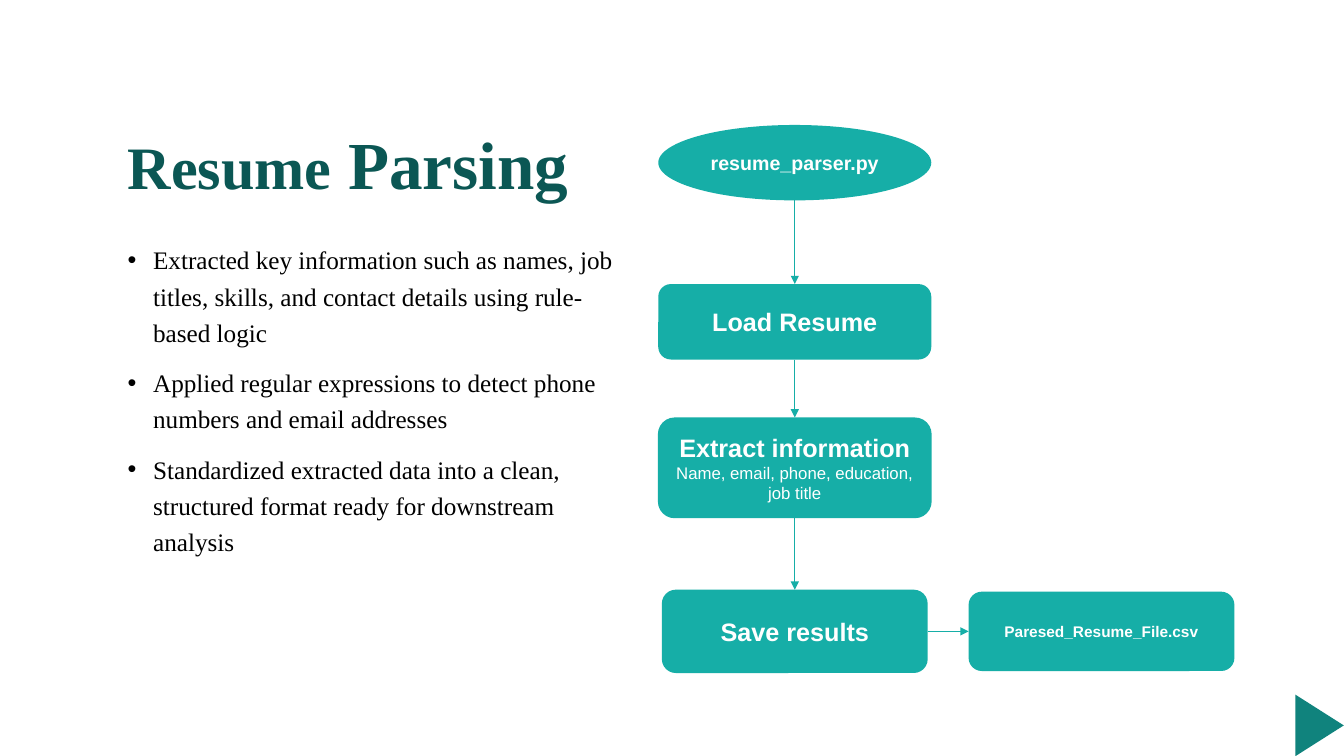
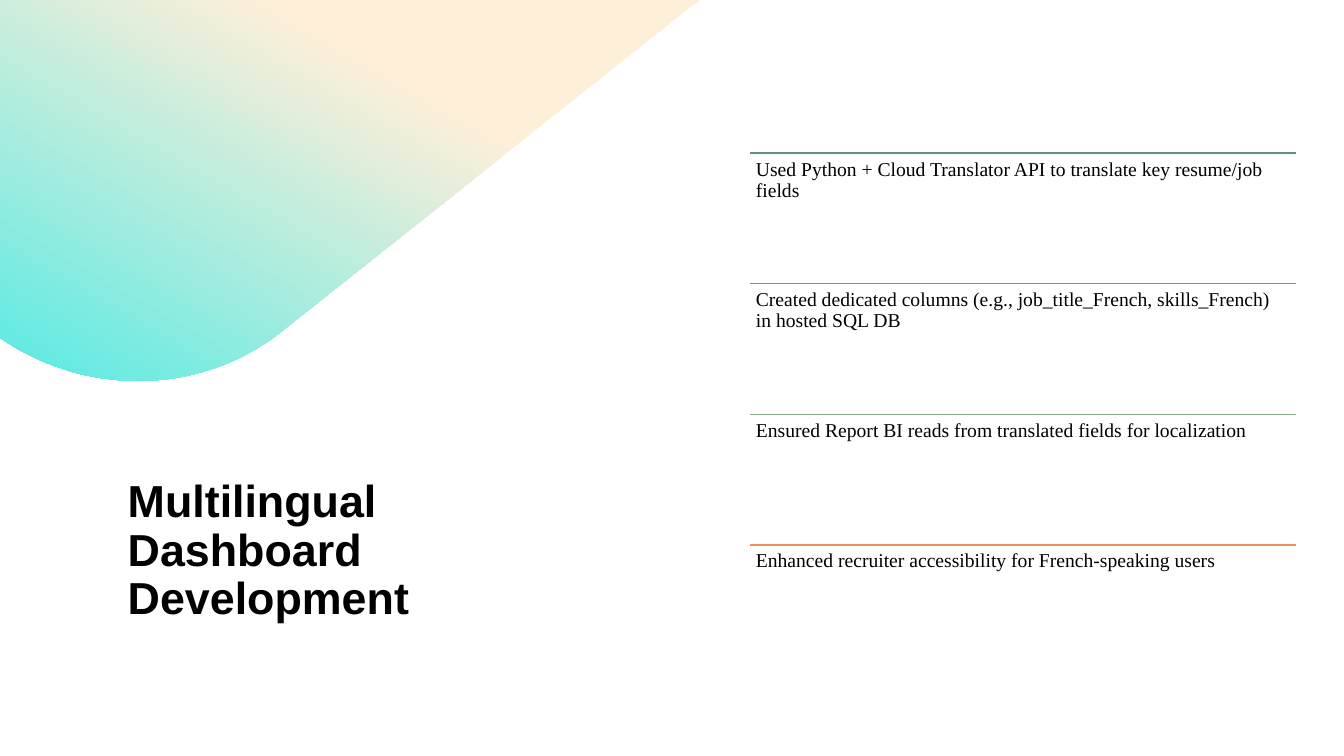
"""Build two slides: a resume parsing flow and a multilingual dashboard summary."""
from lxml import etree
from pptx import Presentation
from pptx.dml.color import RGBColor
from pptx.enum.shapes import MSO_CONNECTOR, MSO_SHAPE
from pptx.enum.text import MSO_ANCHOR, PP_ALIGN
from pptx.oxml.ns import qn
from pptx.util import Cm, Pt

STRAIGHT = MSO_CONNECTOR.STRAIGHT
OVAL, ROUNDED, TRIANGLE = MSO_SHAPE.OVAL, MSO_SHAPE.ROUNDED_RECTANGLE, MSO_SHAPE.ISOSCELES_TRIANGLE
TOP, MIDDLE, BOTTOM = MSO_ANCHOR.TOP, MSO_ANCHOR.MIDDLE, MSO_ANCHOR.BOTTOM
LEFT, CENTER = PP_ALIGN.LEFT, PP_ALIGN.CENTER

BLACK = RGBColor(0x00, 0x00, 0x00)
WHITE = RGBColor(0xFF, 0xFF, 0xFF)
TEAL = RGBColor(0x16, 0xAE, 0xA7)
DARK_TEAL = RGBColor(0x0B, 0x57, 0x54)
CORNER_TEAL = RGBColor(0x10, 0x83, 0x7D)
PEACH = RGBColor(0xFE, 0xEF, 0xD9)
CYAN = RGBColor(0x58, 0xEA, 0xE3)
SLATE = RGBColor(0x61, 0x8F, 0x88)
OLIVE = RGBColor(0x7A, 0x99, 0x73)
SAGE = RGBColor(0x8A, 0xAE, 0x8E)
ORANGE = RGBColor(0xEB, 0x8F, 0x60)
SERIF, SANS = "Times New Roman", "Arial"
MARGIN = 2.97


def write_text(box, paragraphs, font, color, anchor=TOP, align=LEFT, spacing=1.0, gap=0, bullet=None):
    """Fill a box with paragraphs, each a list of (text, size, bold) runs."""
    frame = box.text_frame
    frame.word_wrap = True
    frame.vertical_anchor = anchor
    for number, spans in enumerate(paragraphs):
        para = frame.add_paragraph() if number else frame.paragraphs[0]
        para.alignment = align
        para.line_spacing = spacing
        para.space_before = Pt(gap if number else 0)
        if bullet:
            properties = para._p.get_or_add_pPr()
            properties.set("marL", str(Cm(0.64)))
            properties.set("indent", str(-Cm(0.64)))
            etree.SubElement(properties, qn("a:buFont")).set("typeface", SANS)
            etree.SubElement(properties, qn("a:buChar")).set("char", bullet)
        for text, size, bold in spans:
            span = para.add_run()
            span.text = text
            span.font.name = font
            span.font.size = Pt(size)
            span.font.bold = bold
            span.font.color.rgb = color


def draw_line(page, start, end, color, width, arrow=False):
    """Draw a straight line between two points given in centimetres."""
    line = page.shapes.add_connector(STRAIGHT, *map(Cm, start + end))
    line.line.color.rgb = color
    line.line.width = Pt(width)
    if arrow:
        etree.SubElement(line.line._get_or_add_ln(), qn("a:tailEnd")).set("type", "triangle")
    etree.SubElement(line._element.spPr, qn("a:effectLst"))


deck = Presentation()
deck.slide_width, deck.slide_height = Cm(33.87), Cm(19.05)
blank = deck.slide_layouts[6]

page = deck.slides.add_slide(blank)
title = page.shapes.add_textbox(Cm(MARGIN), Cm(2.59), Cm(11.73), Cm(2.64))
write_text(title, [[("Resume", 43, True), (" Parsing", 48, True)]], SERIF, DARK_TEAL,
           anchor=BOTTOM, spacing=1.2)

points = [
    "Extracted key information such as names, job titles, skills, and contact details using rule-based logic",
    "Applied regular expressions to detect phone numbers and email addresses",
    "Standardized extracted data into a clean, structured format ready for downstream analysis",
]
body = page.shapes.add_textbox(Cm(MARGIN), Cm(5.89), Cm(13.36), Cm(10.44))
write_text(body, [[(point, 18, False)] for point in points], SERIF, BLACK,
           spacing=1.2, gap=10, bullet="•")

FLOW_X, FILE_X, SAVE_Y = 20.03, 27.76, 15.91
steps = [
    (OVAL, FLOW_X, 4.1, 6.88, 1.9, [[("resume_parser.py", 14, True)]]),
    (ROUNDED, FLOW_X, 8.11, 6.88, 1.9, [[("Load Resume", 18, True)]]),
    (ROUNDED, FLOW_X, 11.79, 6.9, 2.54, [[("Extract information", 18, True)],
                                         [("Name, email, phone, education, job title", 12, False)]]),
    (ROUNDED, FLOW_X, SAVE_Y, 6.7, 2.1, [[("Save results", 18, True)]]),
    (ROUNDED, FILE_X, SAVE_Y, 6.7, 2.0, [[("Paresed_Resume_File.csv", 11, True)]]),
]
for kind, center_x, center_y, width, height, label in steps:
    step = page.shapes.add_shape(kind, Cm(center_x - width / 2), Cm(center_y - height / 2),
                                 Cm(width), Cm(height))
    step.shadow.inherit = False
    step.fill.solid()
    step.fill.fore_color.rgb = TEAL
    step.line.fill.background()
    write_text(step, label, SANS, WHITE, anchor=MIDDLE, align=CENTER)

for upper, lower in zip(steps[:3], steps[1:4]):
    draw_line(page, (FLOW_X, upper[2] + upper[4] / 2), (FLOW_X, lower[2] - lower[4] / 2),
              TEAL, 0.5, arrow=True)
draw_line(page, (FLOW_X + 3.35, SAVE_Y), (FILE_X - 3.35, SAVE_Y), TEAL, 0.5, arrow=True)

corner = page.shapes.add_shape(TRIANGLE, Cm(32.48), Cm(17.67), Cm(1.55), Cm(1.22))
corner.rotation = 90
corner.shadow.inherit = False
corner.fill.solid()
corner.fill.fore_color.rgb = CORNER_TEAL
corner.line.fill.background()

page = deck.slides.add_slide(blank)
curves = [
    [(7.06, 8.38), (6.02, 9.2), (4.75, 9.6), (3.48, 9.6)],
    [(3.48, 9.6), (2.24, 9.6), (1.02, 9.22), (0, 8.51)],
]
outline = [(17.63, 0), curves[0][0]]
for curve in curves:
    for count in range(1, 25):
        t = count / 24
        weights = ((1 - t) ** 3, 3 * t * (1 - t) ** 2, 3 * t ** 2 * (1 - t), t ** 3)
        outline.append(tuple(sum(weight * point[axis] for weight, point in zip(weights, curve))
                             for axis in (0, 1)))
builder = page.shapes.build_freeform(0, 0)
builder.add_line_segments([(Cm(x), Cm(y)) for x, y in outline])
sweep = builder.convert_to_shape()
sweep.shadow.inherit = False
sweep.line.fill.background()
sweep.fill.gradient()
sweep.fill.gradient_angle = 240
for stop, color, position in zip(sweep.fill.gradient_stops, (PEACH, CYAN), (0.32, 1.0)):
    stop.color.rgb = color
    stop.position = position

title = page.shapes.add_textbox(Cm(MARGIN), Cm(11.4), Cm(11.96), Cm(5))
write_text(title, [[("Multilingual Dashboard Development", 32, True)]], SANS, BLACK,
           anchor=MIDDLE, spacing=0.9)

LIST_X, LIST_Y, LIST_WIDTH, PITCH = 18.9, 3.86, 13.77, 3.29
entries = [
    (SLATE, "Used Python + Cloud Translator API to translate key resume/job fields"),
    (OLIVE, "Created dedicated columns (e.g., job_title_French, skills_French) in hosted SQL DB"),
    (SAGE, "Ensured Report BI reads from translated fields for localization"),
    (ORANGE, "Enhanced recruiter accessibility for French-speaking users"),
]
for row, (color, text) in enumerate(entries):
    top = LIST_Y + row * PITCH
    draw_line(page, (LIST_X, top), (LIST_X + LIST_WIDTH, top), color, 1)
    box = page.shapes.add_textbox(Cm(LIST_X), Cm(top), Cm(LIST_WIDTH), Cm(PITCH))
    frame = box.text_frame
    frame.margin_left = frame.margin_right = frame.margin_top = frame.margin_bottom = Cm(0.15)
    write_text(box, [[(text, 14, False)]], SERIF, BLACK, spacing=0.9)

deck.save("out.pptx")
